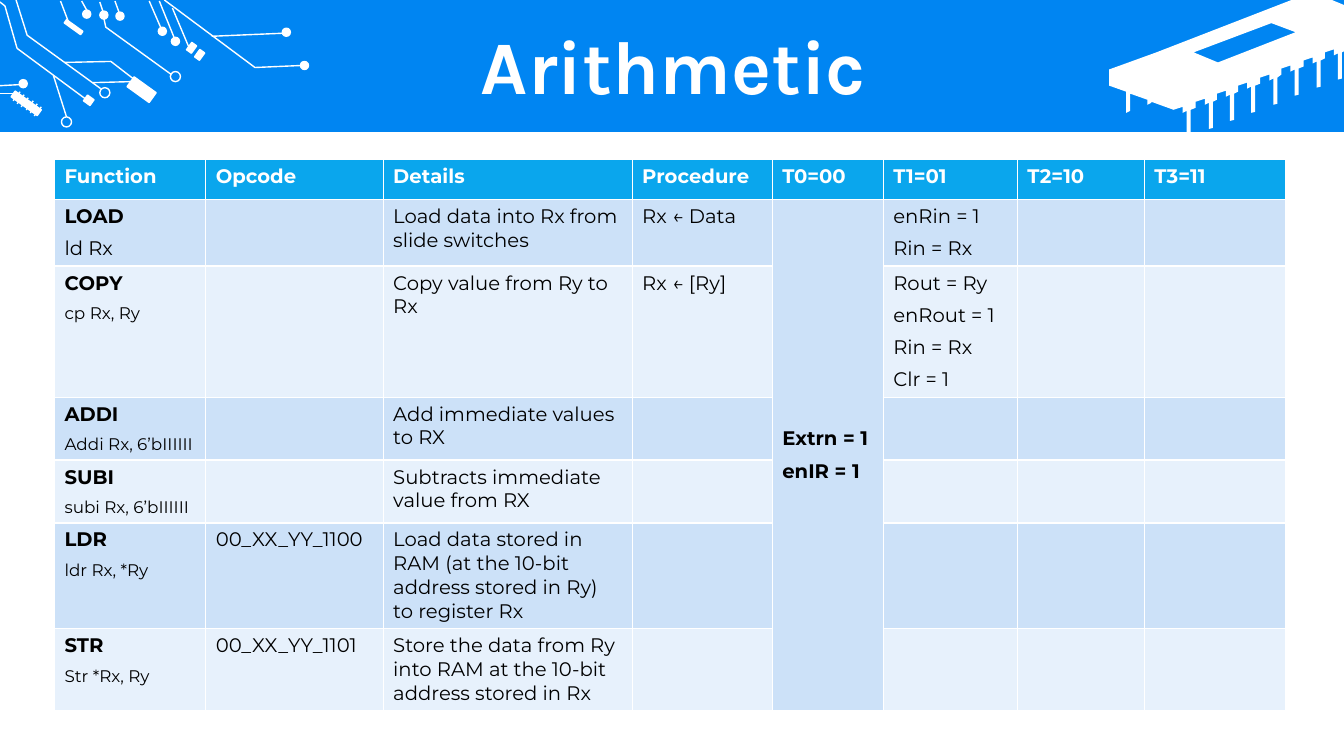
from dataclasses import dataclass

from lxml import etree
from pptx import Presentation, util as u
from pptx.dml.color import RGBColor
from pptx.enum import shapes, text
from pptx.oxml.ns import qn

PX = 9144


@dataclass(frozen=True)
class Theme:
    blue: str = "0085F2"
    header: str = "0AA6ED"
    bands: tuple = ("CCE1F8", "E7F1FC")
    white: str = "FFFFFF"
    black: str = "000000"
    title_font: str = "Karla"
    body_font: str = "Montserrat"
    title: int = 54
    body: int = 14
    small: int = 12


T = Theme()

CHIP_TOP = [(181, 0), (221, 0), (233, 5), (233, 51)]
CHIP_LEG = [(0, 0), (0, 26), (-4, 27), (-4, 1), (-8, 3), (-8, -3), (-17, 0), (-17, 6)]
CHIP_END = [(42, 101), (42, 102), (38, 104), (38, 99), (21, 93), (21, 110),
            (17, 112), (17, 91), (0, 85), (0, 69), (47, 52)]
CHIP_WINDOW = [(161, 23), (84, 52), (108, 62), (185, 32)]

PADS = [(298, 61), (280, 28), (82, 10), (99, 11), (115, 12), (19, 79), (170, 37), (157, 27)]
RINGS = [(169, 71), (99, 87), (61, 116)]
PARTS = [(127, 83, 27, 12), (63, 25, 20, 4), (84, 96, 8, 7),
         (187, 43, 6, 9), (195, 50, 6, 9), (10, 99, 32, 7)]
TRACKS = [
    [(60, 1), (68, 22)], [(81, 1), (86, 10)], [(99, 2), (102, 11)],
    [(114, 1), (118, 12)], [(148, 1), (161, 31)], [(158, 1), (173, 38)],
    [(210, 36), (280, 33)], [(171, 8), (187, 46)], [(0, 85), (19, 84)],
    [(0, 93), (14, 93)], [(53, 75), (66, 116)], [(92, 82), (130, 81)],
    [(163, 0), (253, 67), (299, 65)],
    [(16, 0), (27, 35), (100, 88)],
    [(0, 2), (5, 6), (17, 48), (86, 99)],
    [(64, 62), (110, 61), (132, 78)],
    [(103, 18), (105, 27), (170, 74)],
]
RESISTOR_TEETH = [[(round(13 + 4.2 * i), 100 + 3 * i), (round(20 + 4.2 * i), 91 + 3 * i)]
                  for i in range(6)]

COLUMNS = [150, 176, 247, 139, 110, 133, 126, 140]
ROWS = [40, 66, 130, 62, 62, 105, 80]
HEADERS = ["Function", "Opcode", "Details", "Procedure", "T0=00", "T1=01", "T2=10", "T3=11"]
FETCH_COLUMN = 4
FETCH = "Extrn = 1\nenIR = 1"
INSTRUCTIONS = [
    ("LOAD\nld Rx", "", "Load data into Rx from slide switches", "Rx ← Data",
     FETCH, "enRin = 1\nRin = Rx"),
    ("COPY\ncp Rx, Ry", "", "Copy value from Ry to Rx", "Rx ← [Ry]",
     "", "Rout = Ry\nenRout = 1\nRin = Rx\nClr = 1"),
    ("ADDI\nAddi Rx, 6’bIIIIII", "", "Add immediate values to RX"),
    ("SUBI\nsubi Rx, 6’bIIIIII", "", "Subtracts immediate value from RX"),
    ("LDR\nldr Rx, *Ry", "00_XX_YY_1100",
     "Load data stored in RAM (at the 10-bit address stored in Ry) to register Rx"),
    ("STR\nStr *Rx, Ry", "00_XX_YY_1101",
     "Store the data from Ry into RAM at the 10-bit address stored in Rx"),
]


def px(*values):
    return [round(v * PX) for v in values]


def rgb(color):
    return RGBColor.from_string(color)


def paint(sp, fill=None, line=None):
    sp.shadow.inherit = False
    if fill:
        sp.fill.solid()
        sp.fill.fore_color.rgb = rgb(fill)
    else:
        sp.fill.background()
    if line:
        sp.line.color.rgb = rgb(line)
        sp.line.width = u.Pt(1)
    else:
        sp.line.fill.background()


def style(p, font, size, color, bold):
    for r in p.runs:
        r.font.name = font
        r.font.size = u.Pt(size)
        r.font.bold = bold
        r.font.color.rgb = rgb(color)


def add_part(s, kind, x, y, w, h, fill, line=None, rotation=0):
    sp = s.shapes.add_shape(kind, *px(x, y, w, h))
    sp.rotation = rotation
    paint(sp, fill, line)


def add_track(s, x, y, points):
    if len(points) == 2:
        (x1, y1), (x2, y2) = points
        cx = s.shapes.add_connector(shapes.MSO_CONNECTOR.STRAIGHT,
                                    *px(x + x1, y + y1, x + x2, y + y2))
        cx.line.color.rgb = rgb(T.white)
        cx.line.width = u.Pt(1)
        etree.SubElement(cx.element.spPr, qn("a:effectLst"))
        return
    fb = s.shapes.build_freeform(*points[0], scale=PX)
    fb.add_line_segments(points[1:], close=False)
    paint(fb.convert_to_shape(*px(x, y)), line=T.white)


def add_circuit(s, x, y):
    oval, rect = shapes.MSO_SHAPE.OVAL, shapes.MSO_SHAPE.RECTANGLE
    for left, top, w, h in PARTS:
        add_part(s, rect, x + left, y + top, w, h, T.white, T.white, 35.7)
    for left, top in PADS:
        add_part(s, oval, x + left, y + top, 8, 8, T.white, T.white)
    for left, top in RINGS:
        add_part(s, oval, x + left, y + top, 10, 10, None, T.white)
    for points in TRACKS + RESISTOR_TEETH:
        add_track(s, x, y, points)


def add_chip(s, x, y):
    legs = [(round(231 - 21.4 * i + dx), round(52 + 8.2 * i + dy))
            for i in range(8) for dx, dy in CHIP_LEG]
    outline = CHIP_TOP + legs[:-1] + CHIP_END
    fb = s.shapes.build_freeform(*outline[0], scale=PX)
    fb.add_line_segments(outline[1:])
    fb.move_to(*CHIP_WINDOW[0])
    fb.add_line_segments(CHIP_WINDOW[1:])
    paint(fb.convert_to_shape(*px(x, y)), T.white)


def add_banner(s, x, y, w, h):
    add_part(s, shapes.MSO_SHAPE.RECTANGLE, x, y, w, h, T.blue)
    add_chip(s, x + w - 233, y)
    add_circuit(s, x, y)
    title = s.shapes.title
    s.shapes.element.append(title.element)
    title.left, title.top, title.width, title.height = px(x + 35, y + 30, 1266, 79)
    tf = title.text_frame
    tf.text = "Arithmetic"
    tf.word_wrap = True
    tf.auto_size = text.MSO_AUTO_SIZE.NONE
    tf.vertical_anchor = text.MSO_ANCHOR.MIDDLE
    p = tf.paragraphs[0]
    p.alignment = text.PP_ALIGN.CENTER
    p.line_spacing = 0.9
    style(p, T.title_font, T.title, T.white, True)


def fill_cell(cell, row, col, words):
    cell.fill.solid()
    cell.fill.fore_color.rgb = rgb(T.bands[(row - 1) % 2] if row else T.header)
    cell.text_frame.text = words
    for i, p in enumerate(cell.text_frame.paragraphs):
        if i:
            p.space_before = u.Pt(6)
        usage = col == 0 and i == 1 and row > 1
        bold = row == 0 or col == FETCH_COLUMN or (col == 0 and i == 0)
        style(p, T.body_font, T.small if usage else T.body,
              T.black if row else T.white, bold)


def add_instruction_table(s, x, y):
    frame = s.shapes.add_table(len(ROWS), len(COLUMNS),
                               *px(x, y, sum(COLUMNS), sum(ROWS)))
    table = frame.table
    for column, width in zip(table.columns, COLUMNS):
        column.width = px(width)[0]
    for row, height in zip(table.rows, ROWS):
        row.height = px(height)[0]
    for i, words in enumerate([HEADERS] + INSTRUCTIONS):
        for j in range(len(COLUMNS)):
            fill_cell(table.cell(i, j), i, j, words[j] if j < len(words) else "")
    fetch = table.cell(1, FETCH_COLUMN)
    fetch.merge(table.cell(len(ROWS) - 1, FETCH_COLUMN))
    fetch.vertical_anchor = text.MSO_ANCHOR.MIDDLE


def main():
    prs = Presentation()
    prs.slide_width, prs.slide_height = px(1333, 750)
    s = prs.slides.add_slide(prs.slide_layouts.get_by_name("Title Only"))
    add_banner(s, 0, 0, 1333, 131)
    add_instruction_table(s, 54, 158)
    prs.save("out.pptx")


if __name__ == "__main__":
    main()
